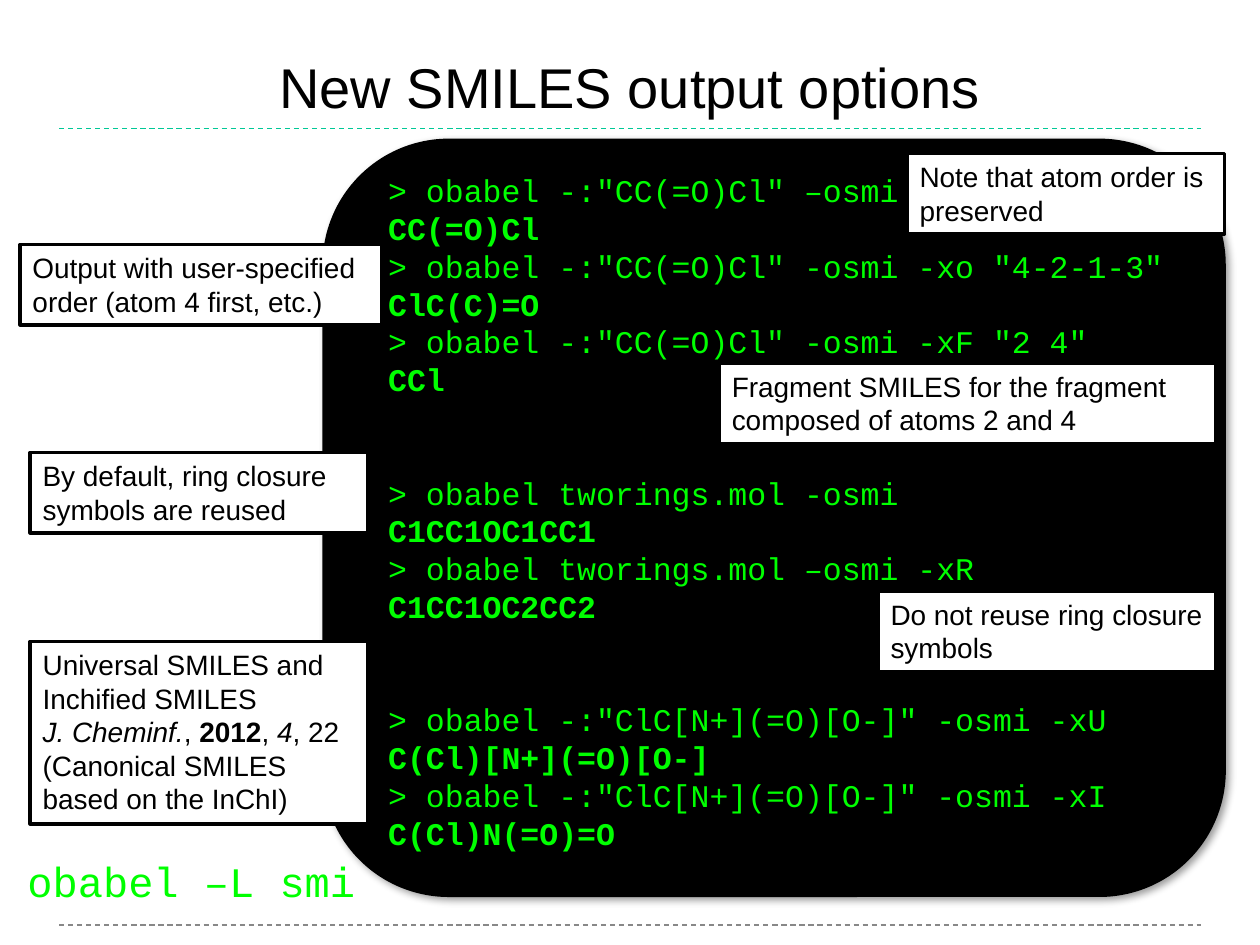
"""Build the slide on new SMILES output options."""
from lxml.etree import SubElement
from pptx import Presentation
from pptx.dml.color import RGBColor
from pptx.enum.dml import MSO_LINE
from pptx.enum.shapes import MSO_CONNECTOR, MSO_SHAPE
from pptx.enum.text import MSO_ANCHOR, PP_ALIGN
from pptx.oxml import parse_xml
from pptx.oxml.ns import nsdecls, qn
from pptx.util import Pt

TITLE = "New SMILES output options"
FOOTER_COMMAND = "obabel –L smi"
SANS, MONO = "Arial", "Courier New"
BLACK, WHITE, GREEN = "000000", "FFFFFF", "00FF00"
LEADING = 1.2
CODE_SIZE = 18

SESSIONS = [
    [
        ('> obabel -:"CC(=O)Cl" –osmi', "CC(=O)Cl"),
        ('> obabel -:"CC(=O)Cl" -osmi -xo "4-2-1-3"', "ClC(C)=O"),
        ('> obabel -:"CC(=O)Cl" -osmi -xF "2 4"', "CCl"),
    ],
    [
        ("> obabel tworings.mol -osmi", "C1CC1OC1CC1"),
        ("> obabel tworings.mol –osmi -xR", "C1CC1OC2CC2"),
    ],
    [
        ('> obabel -:"ClC[N+](=O)[O-]" -osmi -xU', "C(Cl)[N+](=O)[O-]"),
        ('> obabel -:"ClC[N+](=O)[O-]" -osmi -xI', "C(Cl)N(=O)=O"),
    ],
]

CITATION = [("J. Cheminf.", "i"), (", ", ""), ("2012", "b"), (", ", ""), ("4", "i"), (", 22", "")]
NOTES = [
    ((518.4, 87.8, 181.4, 46), ["Note that atom order is preserved"]),
    ((411.1, 207.4, 283.7, 46), ["Fragment SMILES for the fragment composed of atoms 2 and 4"]),
    ((11.5, 139.7, 206.6, 46), ["Output with user-specified", "order (atom 4 first, etc.)"]),
    ((17.3, 258.5, 193, 46), ["By default, ring closure symbols are reused"]),
    ((501.8, 337.7, 193, 46), ["Do not reuse ring closure symbols"]),
    ((17.3, 366.5, 193, 104.4), [
        "Universal SMILES and",
        "Inchified SMILES",
        CITATION,
        "(Canonical SMILES based on the InChI)",
    ]),
]
RULES = [(528.5, "888888"), (73.4, "00C896")]


def color(value):
    return RGBColor.from_string(value)


def place(area):
    return [Pt(length) for length in area]


def write(shape, lines, font, size, ink=BLACK):
    """Fill a shape with lines, each a string or a list of (text, style) pairs."""
    frame = shape.text_frame
    frame.word_wrap = True
    frame.vertical_anchor = MSO_ANCHOR.TOP
    for index, line in enumerate(lines):
        para = frame.add_paragraph() if index else frame.paragraphs[0]
        para.alignment = PP_ALIGN.LEFT
        para.line_spacing = Pt(size * LEADING)
        for text, style in [(line, "")] if isinstance(line, str) else line:
            span = para.add_run()
            span.text = text
            span.font.name = font
            span.font.size = Pt(size)
            span.font.color.rgb = color(ink)
            span.font.bold = style == "b"
            span.font.italic = style == "i"
    return frame


def add_rule(slide, y, ink):
    rule = slide.shapes.add_connector(MSO_CONNECTOR.STRAIGHT, *place((33.8, y, 686.2, y)))
    rule.line.color.rgb = color(ink)
    rule.line.width = Pt(0.75)
    rule.line.dash_style = MSO_LINE.DASH
    SubElement(rule._element.spPr, qn("a:effectLst"))


def add_title(slide):
    box = slide.shapes.add_textbox(*place((54, 25.2, 612, 47.5)))
    frame = write(box, [TITLE], SANS, 32)
    frame.vertical_anchor = MSO_ANCHOR.MIDDLE
    frame.paragraphs[0].alignment = PP_ALIGN.CENTER


def add_terminal(slide):
    panel = slide.shapes.add_shape(MSO_SHAPE.ROUNDED_RECTANGLE, *place((184.3, 79.2, 516.2, 433.4)))
    panel.fill.solid()
    panel.fill.fore_color.rgb = color(BLACK)
    panel.line.fill.background()
    panel._element.spPr.append(parse_xml(
        f'<a:effectLst {nsdecls("a")}><a:outerShdw blurRad="{Pt(4)}" dist="{Pt(3)}" dir="2700000" '
        'rotWithShape="0"><a:srgbClr val="000000"><a:alpha val="40000"/></a:srgbClr>'
        '</a:outerShdw></a:effectLst>'))

    lines, starts = [], []
    for session in SESSIONS:
        starts.append(len(lines))
        for command, result in session:
            lines += [command, [(result, "b")]]
    box = slide.shapes.add_textbox(*place((178.6, 94.3, 504.7, 421.9)))
    box.text_frame.margin_left = Pt(43.2)
    frame = write(box, lines, MONO, CODE_SIZE, GREEN)
    for start in starts[1:]:
        frame.paragraphs[start].space_before = Pt(2 * CODE_SIZE * LEADING)


def add_note(slide, area, lines):
    note = slide.shapes.add_shape(MSO_SHAPE.RECTANGLE, *place(area))
    note.shadow.inherit = False
    note.fill.solid()
    note.fill.fore_color.rgb = color(WHITE)
    note.line.color.rgb = color(BLACK)
    note.line.width = Pt(2)
    write(note, lines, SANS, 16)


def main():
    deck = Presentation()
    deck.slide_width, deck.slide_height = Pt(720), Pt(540)
    slide = deck.slides.add_slide(deck.slide_layouts[6])
    for y, ink in RULES:
        add_rule(slide, y, ink)
    add_title(slide)
    add_terminal(slide)
    for area, lines in NOTES:
        add_note(slide, area, lines)
    footer = slide.shapes.add_textbox(*place((8.6, 485.3, 244.1, 36)))
    write(footer, [FOOTER_COMMAND], MONO, 24, GREEN)
    deck.save("out.pptx")


if __name__ == "__main__":
    main()
